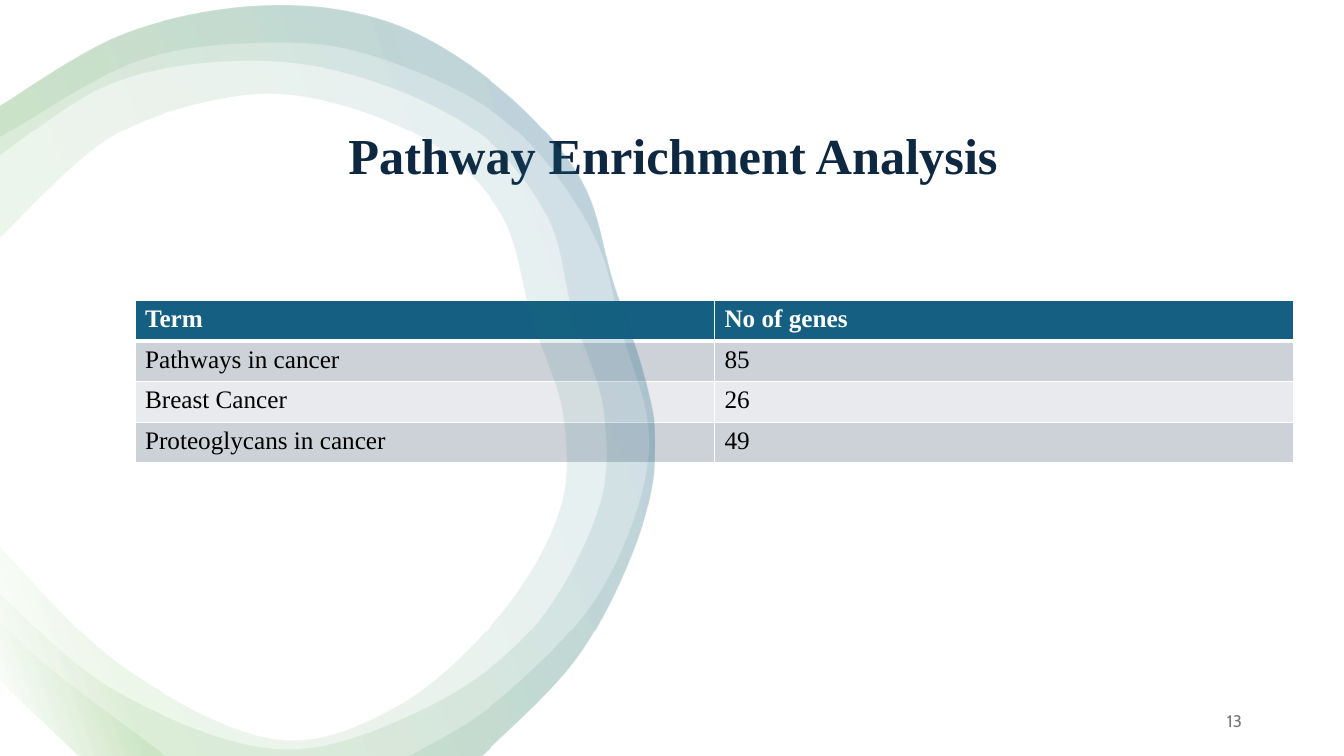
from lxml import etree
from pptx import Presentation, util as u
from pptx.dml.color import RGBColor
from pptx.enum import shapes, text
from pptx.oxml import ns

PX = 914400 / 100.8
WIDE, HIGH = 1344, 756
WHITE = RGBColor(0xFF, 0xFF, 0xFF)
BLACK = RGBColor(0, 0, 0)
NAVY = RGBColor(0x0E, 0x28, 0x41)
TEAL = RGBColor(0x15, 0x60, 0x82)
GREEN = RGBColor(0x4E, 0xA7, 0x2E)
DARK = RGBColor(0xCC, 0xD2, 0xD8)
LIGHT = RGBColor(0xE8, 0xEA, 0xED)
GREY = RGBColor(0x79, 0x79, 0x79)
SERIF = "Times New Roman"

ROWS = [("Term", "No of genes"), ("Pathways in cancer", "85"),
        ("Breast Cancer", "26"), ("Proteoglycans in cancer", "49")]

# Edges of the ring: the bands share the outer ones and differ inside.
OUTER = [(0, 106), (124, 34), (263, 6), (390, 23), (500, 89), (580, 180),
         (612, 283), (643, 377), (654, 455), (632, 550), (574, 660), (480, HIGH)]
BASE = [(80, HIGH), (0, 680)]
MIDDLE = [(0, 593), (115, 690), (275, 748), (415, 712), (528, 632), (596, 512),
          (602, 410), (571, 311), (546, 216), (475, 131), (356, 76), (237, 61),
          (110, 84), (0, 156)]
INNER = [(0, 546), (121, 665), (272, 738), (394, 707), (497, 617), (558, 512),
         (562, 415), (530, 315), (501, 215), (430, 143), (326, 101), (230, 97),
         (110, 138), (0, 238)]
RIM = [(407, HIGH), (498, 699), (599, 591), (647, 452), (620, 330), (587, 224),
       (501, 118), (372, 56), (264, 43), (135, 62), (0, 138)]
STRIP = [(0, 620), (53, 670), (167, HIGH)]

# A band is a list of closed loops, and a loop is a list of joined edges.
BANDS = [[[OUTER, BASE, MIDDLE]], [[OUTER, BASE, INNER]],
         [[STRIP, BASE], [OUTER, RIM]]]


def emu(*vals):
    return [u.Emu(round(v * PX)) for v in vals]


def node(up, tag, **attrs):
    return etree.SubElement(up, ns.qn("a:" + tag), attrs)


def write(frame, words, size=18, font=SERIF, color=BLACK, bold=False,
          align=text.PP_ALIGN.LEFT, space=1.0):
    para = frame.paragraphs[0]
    para.alignment, para.line_spacing = align, space
    run = para.add_run()
    run.text = words
    run.font.size, run.font.name, run.font.bold = u.Pt(size), font, bold
    run.font.color.rgb = color


def label(slide, box, words, **form):
    frame = slide.shapes.add_textbox(*emu(*box)).text_frame
    frame.word_wrap = True
    frame.vertical_anchor = text.MSO_ANCHOR.MIDDLE
    write(frame, words, **form)


def border(cell, top, low):
    props = cell._tc.get_or_add_tcPr()
    for side, wide in (("L", 1), ("R", 1), ("T", top), ("B", low)):
        line = node(props, "ln" + side, w=str(u.Pt(wide)))
        node(node(line, "solidFill"), "srgbClr", val=str(WHITE))


def grid(slide, box):
    table = slide.shapes.add_table(len(ROWS), 2, *emu(*box)).table
    for r, row in enumerate(ROWS):
        for c, words in enumerate(row):
            cell = table.cell(r, c)
            head = r == 0
            border(cell, 3 if r == 1 else 1, 3 if head else 1)
            cell.fill.solid()
            cell.fill.fore_color.rgb = TEAL if head else DARK if r % 2 else LIGHT
            write(cell.text_frame, words, bold=head, color=WHITE if head else BLACK)


def smooth(knots, steps=10):
    """Points of a spline through the knots."""
    pts = [knots[0], *knots, knots[-1]]
    out = [knots[0]]
    for a, b, c, d in zip(pts, pts[1:], pts[2:], pts[3:]):
        for i in range(1, steps + 1):
            t = i / steps
            out.append(tuple(
                q + t / 2 * (s - p + t * (2 * p - 5 * q + 4 * s - v
                                          + t * (3 * q - p - 3 * s + v)))
                for p, q, s, v in zip(a, b, c, d)))
    return out


def fade(shape):
    props = shape._element.spPr
    grad = etree.Element(ns.qn("a:gradFill"), rotWithShape="1")
    stops = node(grad, "gsLst")
    for pos, color in ((2, WHITE), (16, GREEN), (85, TEAL), (100, WHITE)):
        stop = node(stops, "gs", pos=str(pos * 1000))
        node(node(stop, "srgbClr", val=str(color)), "alpha", val="10000")
    node(grad, "lin", ang=str(340 * 60000), scaled="0")
    props.find(ns.qn("a:custGeom")).addnext(grad)


def band(slide, left, top, loops):
    pen = None
    for loop in loops:
        dots = [emu(left + x, top + y) for edge in loop for x, y in smooth(edge)]
        if pen is None:
            pen = slide.shapes.build_freeform(*dots[0])
        else:
            pen.move_to(*dots[0])
        pen.add_line_segments(dots[1:], close=True)
    shape = pen.convert_to_shape()
    shape.shadow.inherit = False
    shape.line.fill.background()
    fade(shape)


def ground(slide, box):
    rect = slide.shapes.add_shape(shapes.MSO_SHAPE.RECTANGLE, *emu(*box))
    rect.shadow.inherit = False
    rect.fill.solid()
    rect.fill.fore_color.rgb = WHITE
    rect.line.fill.background()


def main():
    deck = Presentation()
    deck.slide_width, deck.slide_height = emu(WIDE, HIGH)
    slide = deck.slides.add_slide(deck.slide_layouts[6])
    ground(slide, (0, 0, WIDE, HIGH))
    # Title and table
    label(slide, (220, 78, 919, 160), "Pathway Enrichment Analysis ", size=36,
          color=NAVY, bold=True, align=text.PP_ALIGN.CENTER, space=0.9)
    grid(slide, (135, 300, 1159, 163))
    # Translucent ring over the content
    for loops in BANDS:
        band(slide, 0, 0, loops)
    # Slide number
    label(slide, (950, 701, 302, 40), "13", size=12, font="Cabin", color=GREY,
          align=text.PP_ALIGN.RIGHT)
    deck.save("out.pptx")


if __name__ == "__main__":
    main()
